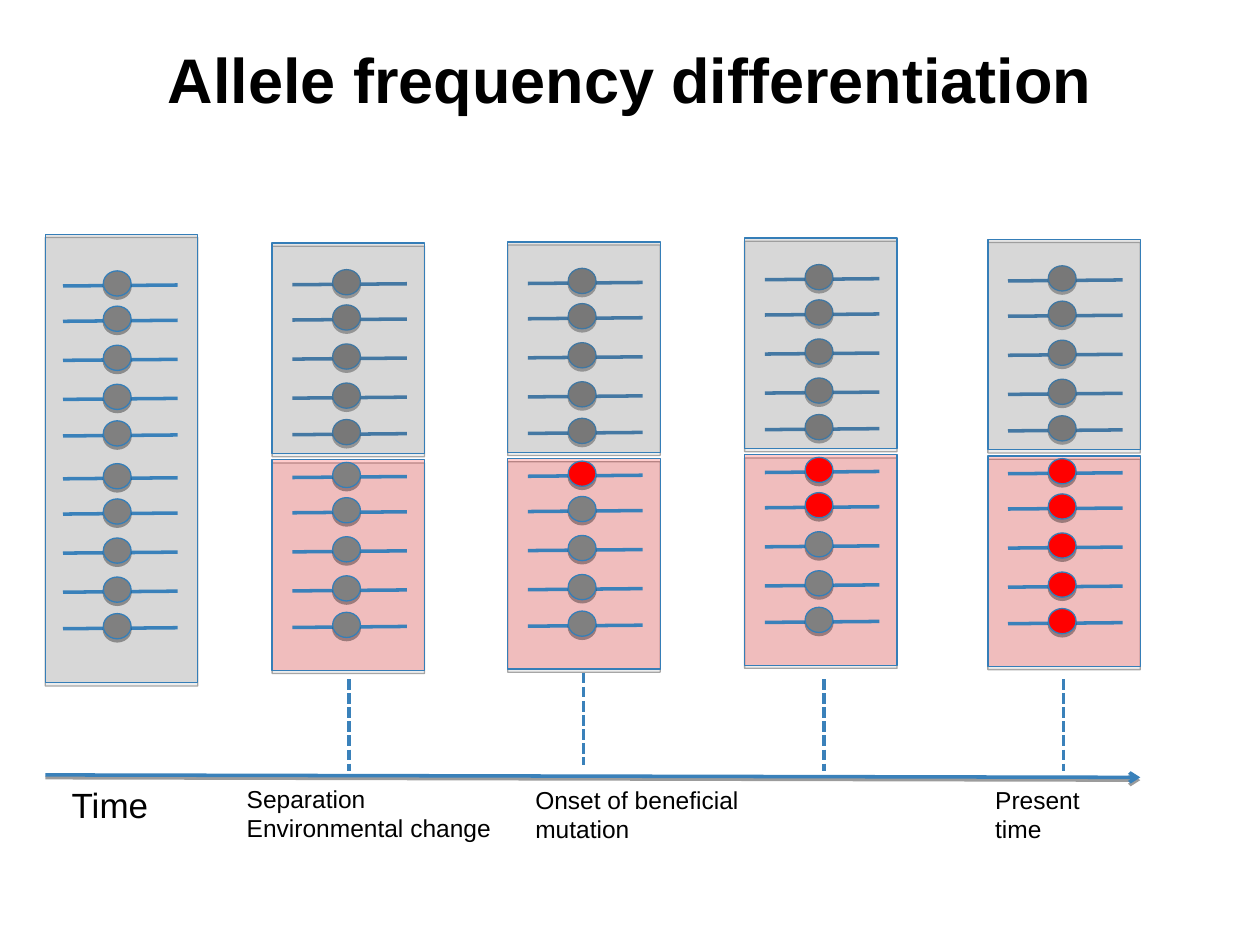
import pptx
import pptx.util
import pptx.dml.color
import pptx.enum.dml
import pptx.enum.shapes
import pptx.enum.text
import pptx.oxml.ns
import lxml.etree

HUES = {"edge": "357EB8", "line": "3A81BA", "grey": "808080",
        "red": "FF0000", "text": "000000"}
Pt = pptx.util.Pt
Kind = pptx.enum.shapes.MSO_SHAPE
Align = pptx.enum.text.PP_ALIGN
Anchor = pptx.enum.text.MSO_ANCHOR
qn = pptx.oxml.ns.qn
rgb = pptx.dml.color.RGBColor.from_string

deck = pptx.Presentation()
deck.slide_width = pptx.util.Inches(10)
deck.slide_height = pptx.util.Inches(7.5)
slide = deck.slides.add_slide(deck.slide_layouts[6])
shapes = slide.shapes
CELL = deck.slide_width // 100  # the slide is 100 columns by 75 rows


def plate(home, kind, box, hue, alpha=None):
    """Draw a filled shape with a thin edge and a hard shadow below it."""
    item = home.add_shape(kind, *[round(n * CELL) for n in box])
    item.fill.solid()
    item.fill.fore_color.rgb = rgb(HUES[hue])
    if alpha:
        tint = item.fill._xPr.find(qn("a:solidFill"))[0]
        lxml.etree.SubElement(tint, qn("a:alpha"), val=str(alpha * 1000))
    item.line.color.rgb = rgb(HUES["edge"])
    item.line.width = Pt(0.75)
    shade(item, 35, 1.8)


def shade(item, alpha=0, dist=0):
    """Replace the theme shadow by a downward one, or by none."""
    spot = lxml.etree.SubElement(item._element.spPr, qn("a:effectLst"))
    if alpha:
        cast = lxml.etree.SubElement(spot, qn("a:outerShdw"), blurRad="0",
                                     dist=str(Pt(dist)), dir="5400000",
                                     rotWithShape="0")
        tint = lxml.etree.SubElement(cast, qn("a:srgbClr"), val=HUES["text"])
        lxml.etree.SubElement(tint, qn("a:alpha"), val=str(alpha * 1000))


# Populations: left end and height of the first strand, number of red alleles
# counted by row, and whether the population has split in two
stages = [(5, 22.7, [], False), (23.2, 22.6, [], True),
          (41.9, 22.5, [5], True), (60.7, 22.2, [5, 6], True),
          (80, 22.3, [5, 6, 7, 8, 9], True)]
half = [0, 2.8, 5.9, 9, 11.9]
rows = half + [15.3 + step for step in half]
wide, tall = 12.1, 16.7
rules = []

for left, top, reds, split in stages:
    edge = left - 1.6
    if split:
        plate(shapes, Kind.RECTANGLE, (edge, top + 13.9, wide, tall), "red", 20)
        home = shapes
    else:
        plate(shapes, Kind.RECTANGLE, (3.6, 18.6, wide, 35.6), "grey", 20)
        home = shapes.add_group_shape().shapes
    for row, step in enumerate(rows):
        y = top + step
        strand = home.add_connector(
            pptx.enum.shapes.MSO_CONNECTOR.STRAIGHT,
            *[round(n * CELL) for n in (left, y, left + 9.1, y - 0.08)])
        rules.append(strand)
        hue = "red" if row in reds else "grey"
        plate(home, Kind.OVAL, (left + 3.2, y - 1.2, 2.2, 2), hue)
    if split:
        plate(shapes, Kind.RECTANGLE, (edge, top - 3.3, wide, tall), "grey", 20)

# Time axis and the dashed guides that lead to it
ends = [(3.6, 61.5, 90.5, 61.7)]
ends += [(x, y, x, y + 7.3) for x, y in
         [(27.7, 53.9), (46.3, 53.4), (65.4, 53.9), (84.4, 53.9)]]
marks = [shapes.add_connector(pptx.enum.shapes.MSO_CONNECTOR.STRAIGHT,
                              *[round(n * CELL) for n in end]) for end in ends]
axis, *guides = marks
for rule in rules + marks:
    rule.line.color.rgb = rgb(HUES["line"])
    rule.line.width = Pt(2)
for guide in guides:
    guide.line.dash_style = pptx.enum.dml.MSO_LINE.SQUARE_DOT
lxml.etree.SubElement(axis.line._get_or_add_ln(), qn("a:tailEnd"), type="arrow")
for rule in rules + guides:
    shade(rule)
shade(axis, 38, 1.6)

# Title and labels: box, size, lines
texts = [((5, 0, 90, 12.5), 36, ["Allele frequency differentiation"]),
         ((4.7, 61.7, 8.1, 4.3), 20, ["Time"]),
         ((18.6, 61.7, 21.4, 5.7), 14, ["Separation", "Environmental change"]),
         ((41.5, 61.8, 18.7, 5.7), 14, ["Onset of beneficial", "mutation"]),
         ((78, 61.8, 12.9, 3.3), 14, ["Present time"])]
for box, size, lines in texts:
    frame = shapes.add_textbox(*[round(n * CELL) for n in box]).text_frame
    frame.text = "\n".join(lines)
    title = size == 36
    frame.word_wrap = title
    if title:
        frame.vertical_anchor = Anchor.MIDDLE
    for para in frame.paragraphs:
        para.alignment = Align.CENTER if title else Align.LEFT
        para.font.name = "Arial"
        para.font.size = Pt(size)
        para.font.bold = title
        para.font.color.rgb = rgb(HUES["text"])

deck.save("out.pptx")
